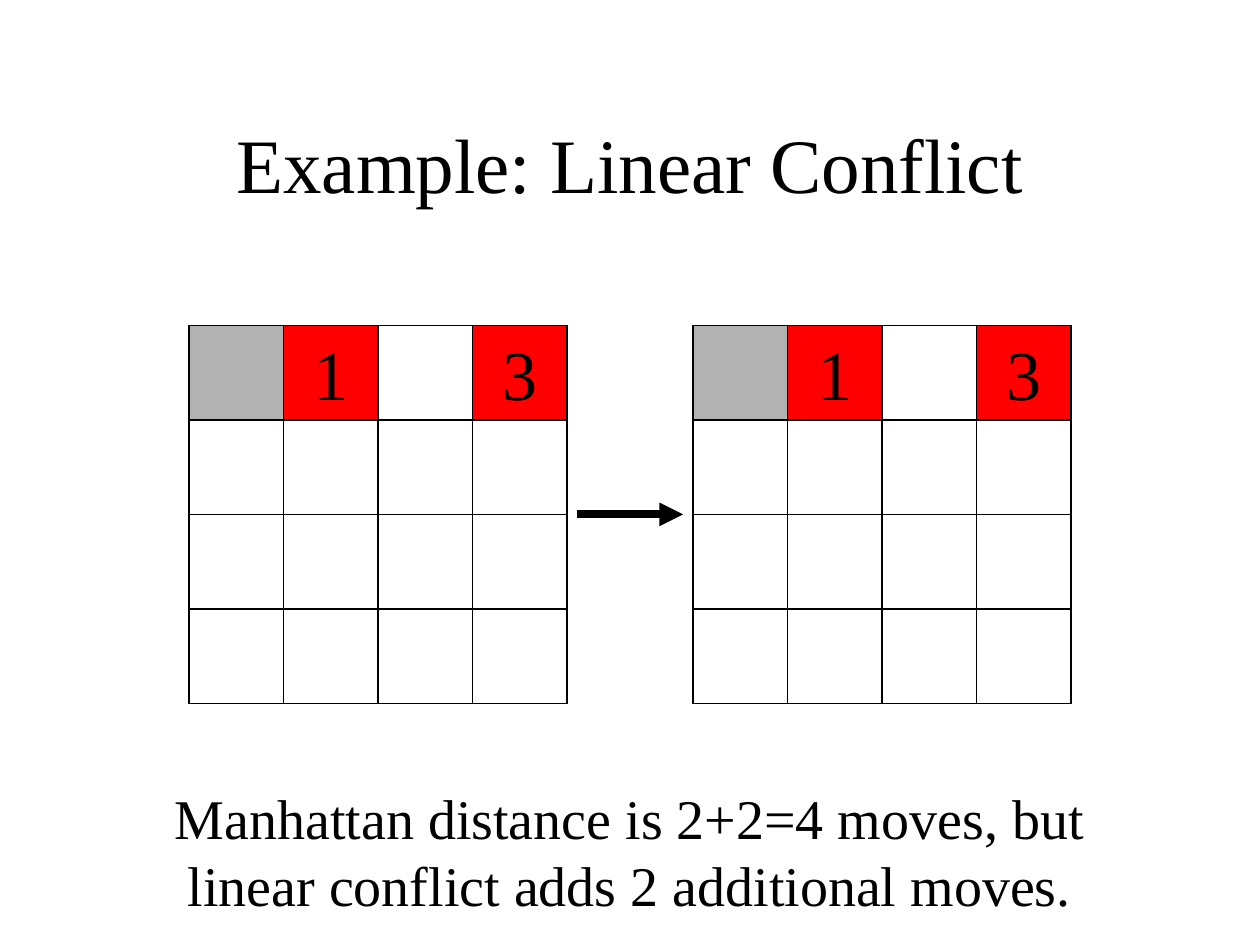
from lxml import etree
from pptx import Presentation
from pptx.dml.color import RGBColor
from pptx.enum.shapes import MSO_CONNECTOR, MSO_SHAPE
from pptx.enum.text import MSO_ANCHOR, PP_ALIGN
from pptx.oxml.ns import qn
from pptx.util import Cm, Pt

RECTANGLE = MSO_SHAPE.RECTANGLE
STRAIGHT = MSO_CONNECTOR.STRAIGHT
MIDDLE = MSO_ANCHOR.MIDDLE
TOP = MSO_ANCHOR.TOP
CENTER = PP_ALIGN.CENTER

BLACK = RGBColor(0x00, 0x00, 0x00)
GRAY = RGBColor(0xB2, 0xB2, 0xB2)
RED = RGBColor(0xFF, 0x00, 0x00)
FONT = "Times New Roman"

TEXTS = [
    ("Example: Linear Conflict", (1.91, 1.7, 21.59, 3.18), 44, MIDDLE),
    ("Manhattan distance is 2+2=4 moves, but linear conflict adds 2 additional moves.",
     (2.54, 15.67, 20.32, 2.97), 32, TOP),
]
BOARD_LEFTS = [3.81, 13.97]
BOARD_TOP = 6.56
BOARD_SIZE = 7.62
CELLS = 4
CELL_SIZE = BOARD_SIZE / CELLS
GAP_CELL = (0, 2)
FILLS = {(0, 0): GRAY, (0, 1): RED, (0, 3): RED}
LABELS = {(0, 1): "1", (0, 3): "3"}
ARROW_MARGIN = 0.2


def write_text(shape, text, size, anchor, wrap):
    frame = shape.text_frame
    frame.word_wrap = wrap
    frame.vertical_anchor = anchor
    frame.text = text
    paragraph = frame.paragraphs[0]
    paragraph.alignment = CENTER
    font = paragraph.runs[0].font
    font.name = FONT
    font.size = Pt(size)
    font.color.rgb = BLACK


def add_square(slide, left, top, size, fill=None):
    square = slide.shapes.add_shape(RECTANGLE, Cm(left), Cm(top), Cm(size), Cm(size))
    square.shadow.inherit = False
    if fill is None:
        square.fill.background()
    else:
        square.fill.solid()
        square.fill.fore_color.rgb = fill
    square.line.color.rgb = BLACK
    square.line.width = Pt(0.75)
    return square


def add_line(slide, start_x, start_y, end_x, end_y, width=0.75):
    line = slide.shapes.add_connector(
        STRAIGHT, Cm(start_x), Cm(start_y), Cm(end_x), Cm(end_y))
    line.line.color.rgb = BLACK
    line.line.width = Pt(width)
    etree.SubElement(line._element.spPr, qn("a:effectLst"))
    return line


def add_board(slide, left):
    add_square(slide, left, BOARD_TOP, BOARD_SIZE)
    right, bottom = left + BOARD_SIZE, BOARD_TOP + BOARD_SIZE
    for index in range(1, CELLS):
        x, y = left + index * CELL_SIZE, BOARD_TOP + index * CELL_SIZE
        add_line(slide, x, BOARD_TOP, x, bottom)
        add_line(slide, left, y, right, y)
    for row in range(CELLS):
        for column in range(CELLS):
            cell = (row, column)
            if cell == GAP_CELL:
                continue
            tile = add_square(slide, left + column * CELL_SIZE,
                              BOARD_TOP + row * CELL_SIZE, CELL_SIZE, FILLS.get(cell))
            if cell in LABELS:
                write_text(tile, LABELS[cell], 40, MIDDLE, False)


def add_arrow(slide):
    middle = BOARD_TOP + BOARD_SIZE / 2
    arrow = add_line(slide, BOARD_LEFTS[0] + BOARD_SIZE + ARROW_MARGIN, middle,
                     BOARD_LEFTS[1] - ARROW_MARGIN, middle, 4.5)
    etree.SubElement(arrow.line._get_or_add_ln(), qn("a:tailEnd"), type="triangle")


def main():
    presentation = Presentation()
    presentation.slide_width = Cm(25.4)
    presentation.slide_height = Cm(19.05)
    slide = presentation.slides.add_slide(presentation.slide_layouts[6])
    for text, box, size, anchor in TEXTS:
        textbox = slide.shapes.add_textbox(*[Cm(length) for length in box])
        write_text(textbox, text, size, anchor, True)
    for left in BOARD_LEFTS:
        add_board(slide, left)
    add_arrow(slide)
    presentation.save("out.pptx")


if __name__ == "__main__":
    main()
